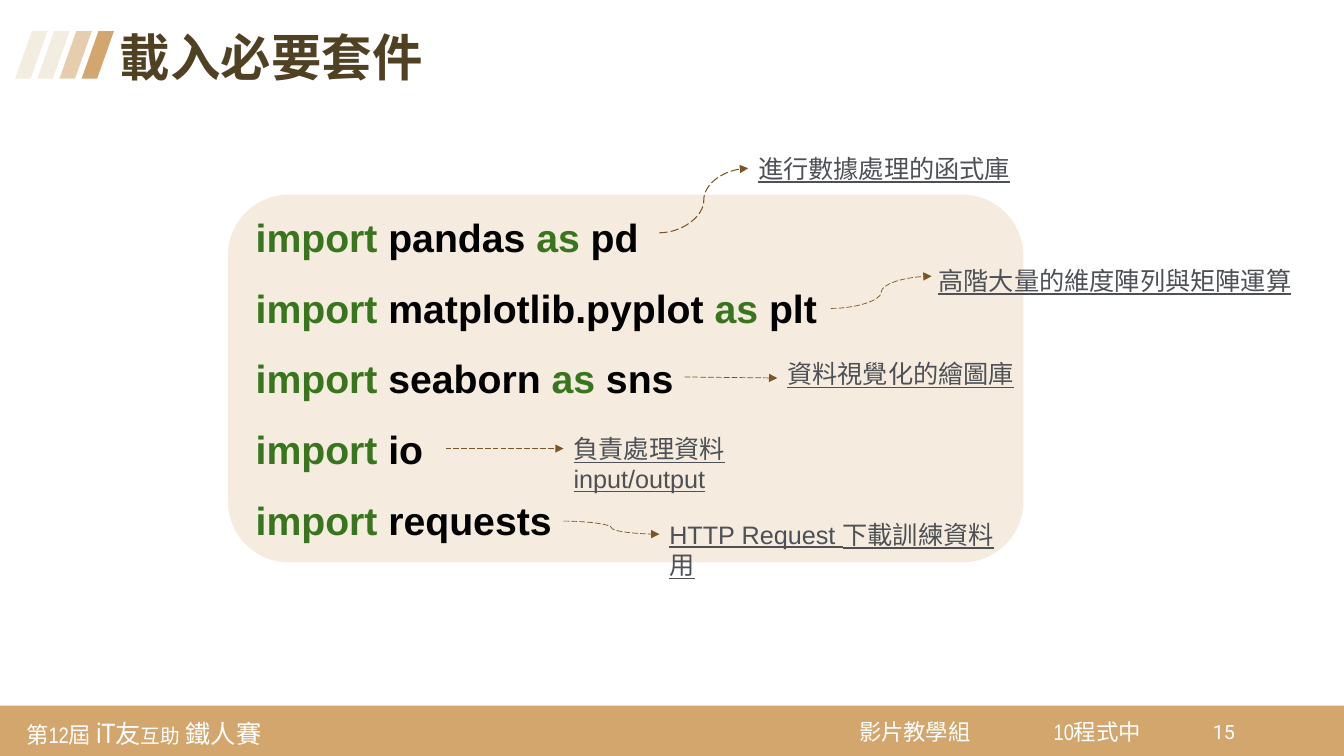
from pptx import Presentation, util as u
from pptx.dml.color import RGBColor
from pptx.enum import dml, shapes, text
from pptx.oxml.ns import qn
from lxml import etree

WHITE = RGBColor(0xFF, 0xFF, 0xFF)
BLACK = RGBColor(0, 0, 0)
TAN = RGBColor(0xD2, 0xA6, 0x6C)
LIGHT_TAN = RGBColor(0xE6, 0xCD, 0xAD)
PALE_TAN = RGBColor(0xF2, 0xEC, 0xE1)
PANEL = RGBColor(0xF5, 0xEB, 0xDE)
TITLE_BROWN = RGBColor(0x51, 0x41, 0x23)
ARROW_BROWN = RGBColor(0x7A, 0x55, 0x25)
KEYWORD_GREEN = RGBColor(0x38, 0x76, 0x1D)
LABEL_GREY = RGBColor(0x4D, 0x51, 0x56)


class SlideBuilder:
    title_style = dict(name="Arial", size=36, bold=True, color=TITLE_BROWN)
    code_style = dict(name="Arial", size=28, bold=True)
    label_style = dict(name="Arial", size=18, underline=True, color=LABEL_GREY)
    footer_style = dict(name="Arial Narrow", size=16, color=WHITE)

    def __init__(self, presentation):
        self.slide = presentation.slides.add_slide(presentation.slide_layouts[5])

    def format_font(self, font, style):
        for key, value in style.items():
            if key == "color":
                font.color.rgb = value
            else:
                setattr(font, key, u.Pt(value) if key == "size" else value)

    def format_frame(self, shape, anchor, insets=(0.1, 0.05, 0.1, 0.05)):
        frame = shape.text_frame
        sides = ("margin_left", "margin_top", "margin_right", "margin_bottom")
        settings = dict(word_wrap=True, auto_size=text.MSO_AUTO_SIZE.NONE,
                        vertical_anchor=anchor)
        settings.update(zip(sides, map(u.Inches, insets)))
        for key, value in settings.items():
            setattr(frame, key, value)
        return frame

    def fill_paragraph(self, paragraph, runs, style, spacing=1.0):
        paragraph.alignment = text.PP_ALIGN.LEFT
        paragraph.line_spacing = spacing
        for words, changes in runs:
            run = paragraph.add_run()
            run.text = words
            self.format_font(run.font, {**style, **changes})

    def title(self, words, box):
        shape = self.slide.shapes.title
        for key, value in zip(("left", "top", "width", "height"), box):
            setattr(shape, key, u.Inches(value))
        frame = self.format_frame(shape, text.MSO_ANCHOR.MIDDLE)
        self.fill_paragraph(frame.paragraphs[0], [(words, {})], self.title_style, 0.9)

    def block(self, kind, box, color, adjustment=None):
        shape = self.slide.shapes.add_shape(kind, *map(u.Inches, box))
        shape.shadow.inherit = False
        shape.fill.solid()
        shape.fill.fore_color.rgb = color
        shape.line.fill.background()
        if adjustment is not None:
            shape.adjustments[0] = adjustment
        return shape

    def text_box(self, box, runs, style, anchor=text.MSO_ANCHOR.TOP, **frame_options):
        shape = self.slide.shapes.add_textbox(*map(u.Inches, box))
        frame = self.format_frame(shape, anchor, **frame_options)
        self.fill_paragraph(frame.paragraphs[0], runs, style)
        return shape

    def code_panel(self, box, lines):
        shape = self.block(shapes.MSO_SHAPE.ROUNDED_RECTANGLE, box, PANEL)
        frame = self.format_frame(shape, text.MSO_ANCHOR.MIDDLE, (0.1, 0, 0.1, 0.24))
        for index, line in enumerate(lines):
            paragraph = frame.add_paragraph() if index else frame.paragraphs[0]
            # Keywords and names alternate along each line
            runs = [(words, dict(color=BLACK if position % 2 else KEYWORD_GREEN))
                    for position, words in enumerate(line)]
            self.fill_paragraph(paragraph, runs, self.code_style, 1.5)

    def arrow(self, kind, start, end, width, label=None):
        connector = self.slide.shapes.add_connector(kind, *map(u.Inches, start + end))
        if label is not None:
            connector.end_connect(label, 1)
        line = connector.line
        line.color.rgb = ARROW_BROWN
        line.width = u.Pt(width)
        line.dash_style = dml.MSO_LINE.LONG_DASH
        properties = connector._element.spPr
        etree.SubElement(properties.find(qn("a:ln")), qn("a:tailEnd"), type="triangle")
        etree.SubElement(properties, qn("a:effectLst"))


def main():
    presentation = Presentation()
    presentation.slide_width = u.Inches(13.33)
    presentation.slide_height = u.Inches(7.5)
    builder = SlideBuilder(presentation)

    # Footer band
    builder.block(shapes.MSO_SHAPE.RECTANGLE, (0, 7, 13.33, 0.5), TAN)
    footers = [
        ((0.18, 7.02, 2.83, 0.49),
         [("第12屆 ", {}), ("iT", dict(size=20)), ("友", dict(size=18)),
          ("互助", dict(size=14)), (" 鐵人賽", dict(size=18))]),
        ((8.44, 7.04, 1.33, 0.43), [("影片教學組", {})]),
        ((10.37, 7.04, 1.33, 0.43), [("10程式中", {})]),
    ]
    for box, runs in footers:
        builder.text_box(box, runs, builder.footer_style, text.MSO_ANCHOR.MIDDLE,
                         insets=(0.08,) * 4)
    builder.text_box((11.93, 7.09, 0.42, 0.41), [("15", {})],
                     dict(name="Roboto", size=14, color=WHITE))

    # Title with slanted stripes
    for index, color in enumerate((PALE_TAN, PALE_TAN, LIGHT_TAN, TAN)):
        builder.block(shapes.MSO_SHAPE.PARALLELOGRAM,
                      (0.15 + 0.22 * index, 0.31, 0.32, 0.47), color, 0.52)
    builder.title("載入必要套件", (1.09, 0.27, 10.19, 0.65))

    # Import statements
    builder.code_panel((2.26, 1.93, 7.89, 3.65), [
        ("import", " pandas ", "as", " pd"),
        ("import ", "matplotlib.pyplot ", "as ", "plt"),
        ("import", " seaborn ", "as ", "sns"),
        ("import", " io"),
        ("import", " requests"),
    ])

    # Labels with arrows: words, left, top, width, kind, start, end, line width, joined
    curve, straight = shapes.MSO_CONNECTOR.CURVE, shapes.MSO_CONNECTOR.STRAIGHT
    notes = [
        ("進行數據處理的函式庫", 7.42, 1.47, 2.73,
         curve, (6.54, 2.31), (7.42, 1.67), 0.75, True),
        ("高階大量的維度陣列與矩陣運算", 9.21, 2.58, 3.74,
         curve, (8.24, 3.06), (9.24, 2.74), 0.5, False),
        ("資料視覺化的繪圖庫", 7.71, 3.51, 2.47,
         straight, (6.79, 3.74), (7.71, 3.75), 0.5, False),
        ("負責處理資料 input/output", 5.59, 4.25, 2.9,
         straight, (4.42, 4.45), (5.59, 4.45), 0.5, True),
        ("HTTP Request 下載訓練資料用", 6.54, 5.1, 3.6,
         curve, (5.59, 5.17), (6.54, 5.3), 0.5, True),
    ]
    for words, left, top, width, kind, start, end, line_width, joined in notes:
        label = builder.text_box((left, top, width, 0.4), [(words, {})],
                                 builder.label_style)
        builder.arrow(kind, start, end, line_width, label if joined else None)

    presentation.save("out.pptx")


if __name__ == "__main__":
    main()
